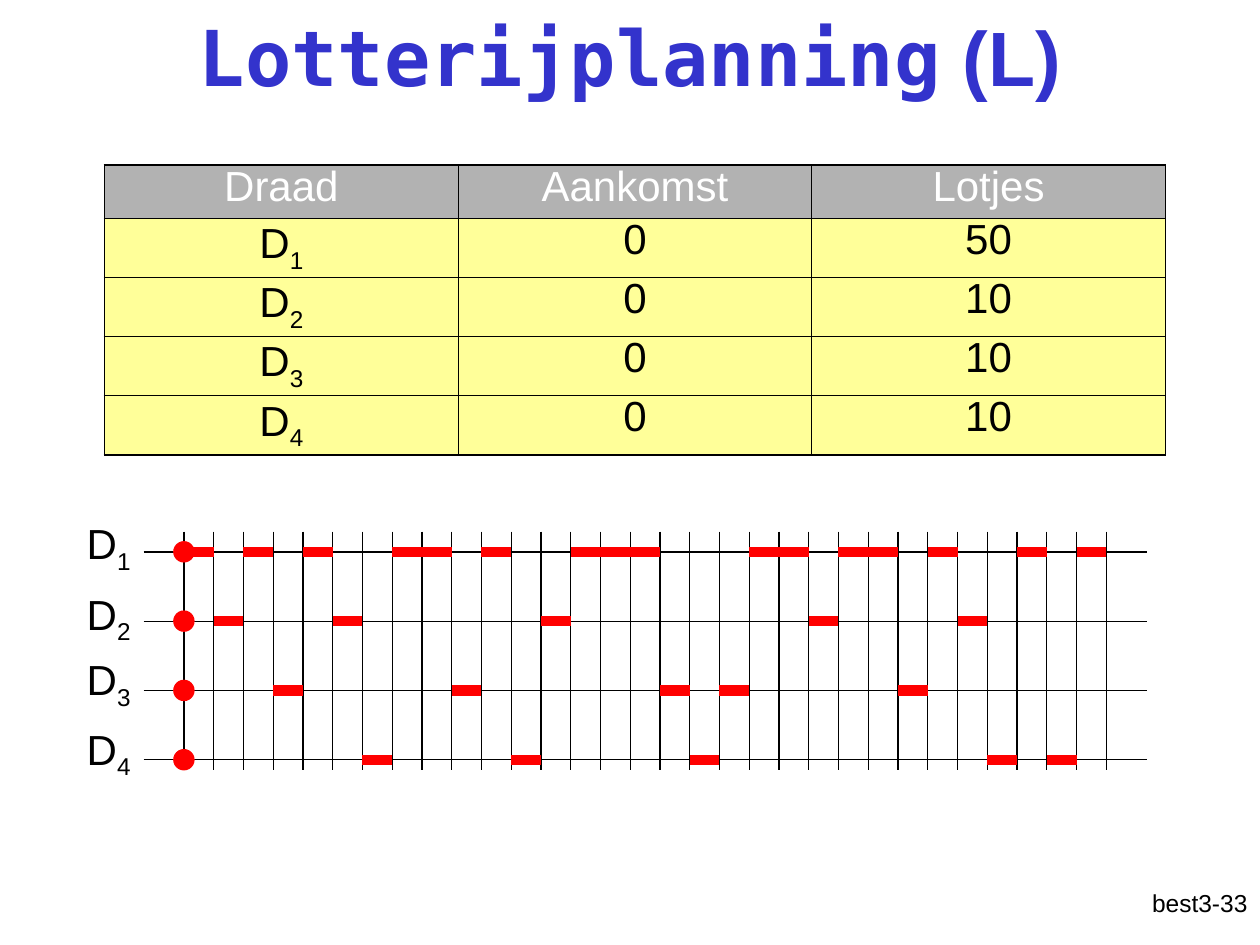
"""Build a slide on lottery scheduling: a table of threads and a timeline of their turns."""
from dataclasses import dataclass

from lxml import etree
from pptx import Presentation
from pptx.dml.color import RGBColor
from pptx.enum.shapes import MSO_CONNECTOR, MSO_SHAPE
from pptx.enum.text import MSO_ANCHOR, PP_ALIGN
from pptx.oxml.ns import qn
from pptx.util import Inches, Pt

STRAIGHT = MSO_CONNECTOR.STRAIGHT
OVAL = MSO_SHAPE.OVAL
MIDDLE, TOP = MSO_ANCHOR.MIDDLE, MSO_ANCHOR.TOP
LEFT, CENTER, RIGHT = PP_ALIGN.LEFT, PP_ALIGN.CENTER, PP_ALIGN.RIGHT


@dataclass(frozen=True)
class Theme:
    black: RGBColor = RGBColor(0, 0, 0)
    white: RGBColor = RGBColor(255, 255, 255)
    title: RGBColor = RGBColor(0x33, 0x33, 0xCC)
    header: RGBColor = RGBColor(0xB2, 0xB2, 0xB2)
    body: RGBColor = RGBColor(0xFF, 0xFF, 0x99)
    turn: RGBColor = RGBColor(255, 0, 0)
    sans: str = "Arial"
    mono: str = "DejaVu Sans Mono"
    title_size: int = 44
    text_size: int = 24
    footer_size: int = 14
    thin: float = 0.75
    thick: float = 6
    inner_border: float = 0.45
    outer_border: float = 1.08


theme = Theme()


def write(frame, text, size, color, align=LEFT, bold=False, anchor=TOP):
    """Write text whose part after an underscore is a subscript."""
    frame.word_wrap = True
    frame.vertical_anchor = anchor
    paragraph = frame.paragraphs[0]
    paragraph.alignment = align
    base, _, index = text.partition("_")
    paragraph.add_run().text = base
    if index:
        subscript = paragraph.add_run()
        subscript.text = index
        subscript._r.get_or_add_rPr().set("baseline", "-25000")
    font = paragraph.font
    font.name, font.size, font.bold = theme.sans, Pt(size), bold
    font.color.rgb = color
    return paragraph


def draw_line(x1, y1, x2, y2, color, width):
    """Draw a straight line without a shadow."""
    line = slide.shapes.add_connector(STRAIGHT, Inches(x1), Inches(y1), Inches(x2), Inches(y2))
    line.line.color.rgb = color
    line.line.width = Pt(width)
    etree.SubElement(line._element.spPr, qn("a:effectLst"))


presentation = Presentation()
presentation.slide_width, presentation.slide_height = Inches(10), Inches(7.5)
slide = presentation.slides.add_slide(presentation.slide_layouts[6])

footer = slide.shapes.add_textbox(Inches(7.92), Inches(7), Inches(2.08), Inches(0.5))
write(footer.text_frame, "best3-33", theme.footer_size, theme.black, RIGHT)

title = slide.shapes.add_textbox(Inches(0.75), Inches(-0.03), Inches(8.5), Inches(0.95))
heading = write(title.text_frame, "Lotterijplanning", theme.title_size, theme.title, CENTER, True, MIDDLE)
heading.runs[0].font.name = theme.mono
heading.add_run().text = " (L)"

threads = ["D_1", "D_2", "D_3", "D_4"]
tickets = ["50", "10", "10", "10"]
rows = [["Draad", "Aankomst", "Lotjes"]]
rows += [[thread, "0", count] for thread, count in zip(threads, tickets)]
last_row, last_column = len(rows) - 1, len(rows[0]) - 1

table = slide.shapes.add_table(
    len(rows), len(rows[0]), Inches(0.83), Inches(1.31), Inches(8.42), Inches(2.3)
).table
table.first_row = table.horz_banding = False
for column in table.columns:
    column.width = Inches(8.42 / 3)
for r, values in enumerate(rows):
    table.rows[r].height = Inches(0.47 if r else 0.42)
    for c, value in enumerate(values):
        cell = table.cell(r, c)
        cell.margin_left = cell.margin_right = Inches(0.1)
        cell.margin_top = cell.margin_bottom = Inches(0.05)
        paragraph = write(cell.text_frame, value, theme.text_size, theme.black if r else theme.white, CENTER)
        paragraph.line_spacing = 0.8
        outer_sides = {"lnL": c == 0, "lnR": c == last_column, "lnT": r == 0, "lnB": r == last_row}
        properties = cell._tc.get_or_add_tcPr()
        for side, is_outer in outer_sides.items():
            width = Pt(theme.outer_border if is_outer else theme.inner_border)
            border = etree.SubElement(properties, qn(f"a:{side}"), w=str(width))
            fill = etree.SubElement(border, qn("a:solidFill"))
            etree.SubElement(fill, qn("a:srgbClr"), val=str(theme.black))
        cell.fill.solid()
        cell.fill.fore_color.rgb = theme.body if r else theme.header

turns = "1213124113142111343112113124141"
start, slot = 1.46, 7.32 / len(turns)
lanes = [4.38 + 0.55 * i for i in range(len(threads))]
label_tops = [4.06, 4.62, 5.14, 5.69]
dot_size = 0.16

for thread, lane, label_top in zip(threads, lanes, label_tops):
    draw_line(1.14, lane, 9.1, lane, theme.black, theme.thin)
    label = slide.shapes.add_textbox(Inches(0.59), Inches(label_top), Inches(0.63), Inches(0.56))
    write(label.text_frame, thread, theme.text_size, theme.black)

for tick in range(len(turns) + 1):
    x = start + tick * slot
    draw_line(x, 4.22, x, 6.11, theme.black, theme.thin)

for lane in lanes:
    arrival = slide.shapes.add_shape(
        OVAL, Inches(start - dot_size / 2), Inches(lane - dot_size / 2), Inches(dot_size), Inches(dot_size)
    )
    arrival.shadow.inherit = False
    arrival.fill.solid()
    arrival.fill.fore_color.rgb = arrival.line.color.rgb = theme.turn
    arrival.line.width = Pt(theme.thin)

for i, thread_number in enumerate(turns):
    x, lane = start + i * slot, lanes[int(thread_number) - 1]
    draw_line(x, lane, x + slot, lane, theme.turn, theme.thick)

presentation.save("out.pptx")
